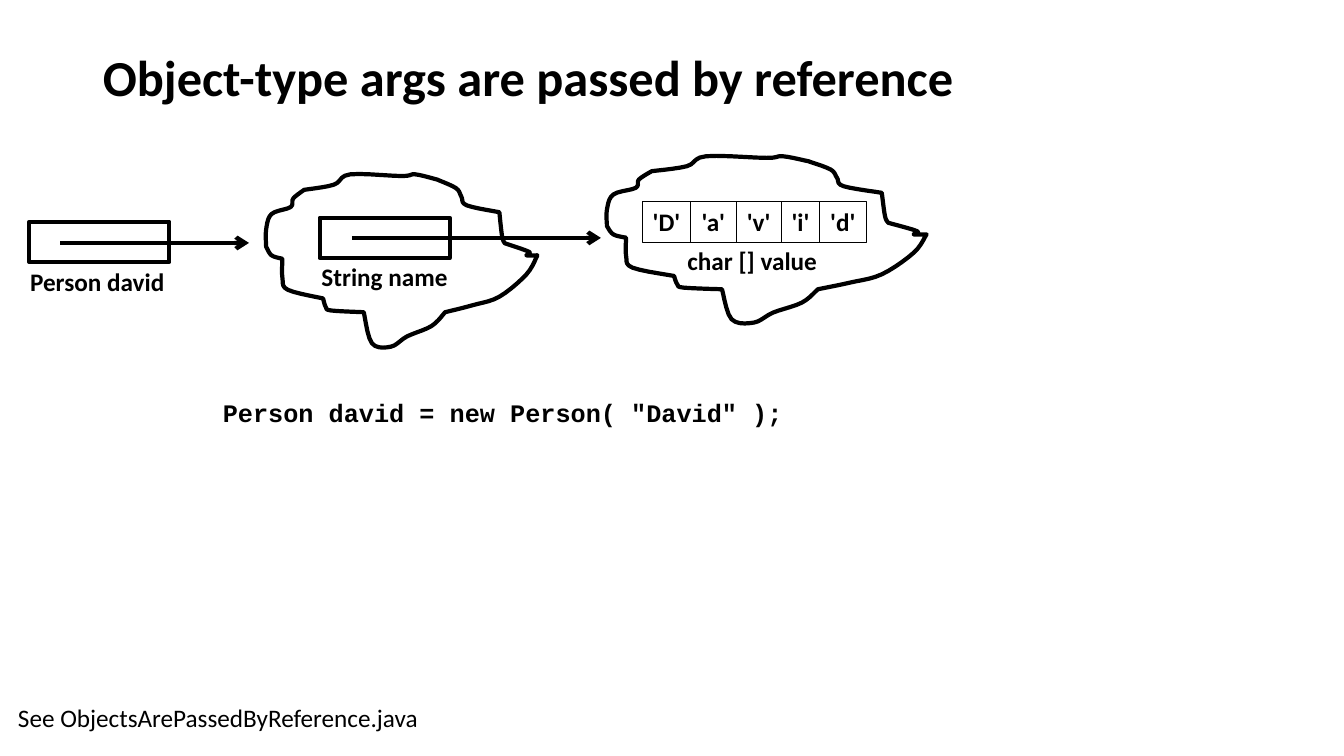
"""Build the slide on passing object-type arguments by reference."""
import itertools

import pptx
import pptx.dml.color
import pptx.enum.shapes
import pptx.enum.text
import pptx.oxml
import pptx.oxml.ns
import pptx.util
from pptx.util import Inches

COLORS = {"ink": "000000"}
LINE_WIDTHS = {"drawing": 3, "cell": 0.25}
TITLE = ("Object-type args are passed by reference", (0.92, 0.4, 11.5, 0.79))
CODE = ('Person david = new Person( "David" );', (2.11, 3.6, 11.22, 3.25))
LABELS = [
    ("Person david", (0.2, 2.59, 1.54, 0.4), "label"),
    ("String name", (3.09, 2.54, 1.46, 0.4), "label"),
    ("char [] value", (6.72, 2.38, 1.53, 0.4), "label"),
    ("See ObjectsArePassedByReference.java", (0.08, 6.92, 4.21, 0.4), "note"),
]
REFERENCES = [
    {"box": (0.29, 2.2, 1.39, 0.4), "arrow": (0.6, 2.47, 2.41)},
    {"box": (3.17, 2.16, 1.29, 0.4), "arrow": (3.49, 5.96, 2.36)},
]
CHARACTERS = {"'D'": 0.48, "'a'": 0.45, "'v'": 0.45, "'i'": 0.38, "'d'": 0.46}
ARRAY_LEFT, ARRAY_TOP, ARRAY_HEIGHT = 6.37, 2.0, 0.4
CLOUDS = {"person": (2.64, 1.73, 2.69, 1.71), "string": (6.02, 1.55, 3.17, 1.65)}
CLOUD_LOBES = {
    "crown": [(63, 3), (55, 0), (50, 1), (31, 0), (25, 6), (14, 9)],
    "upper left": [(14, 9), (10, 14), (9, 19), (2, 23), (0, 32), (0, 42)],
    "left": [(0, 42), (2, 47), (6, 49)],
    "lower left": [(6, 49), (6, 60), (8, 67), (21, 72)],
    "notch": [(21, 72), (22, 77), (24, 79), (36, 80)],
    "tail": [(36, 80), (39, 98), (46, 100), (52, 94), (61, 88), (66, 80)],
    "lower right": [(66, 80), (76, 76), (86, 71), (96, 58), (100, 47)],
    "tip": [(100, 47), (96, 47), (97, 45), (88, 40)],
    "right": [(88, 40), (87, 36), (86, 22)],
    "upper right": [(86, 22), (74, 18), (72, 13), (70, 8), (63, 3)],
}
CURVE_STEPS = 5
FORMATS = {
    "title": {"name": "Calibri", "size": pptx.util.Pt(36), "bold": True},
    "code": {"name": "Courier New", "size": pptx.util.Pt(18), "bold": True},
    "label": {"name": "Calibri", "size": pptx.util.Pt(18), "bold": True},
    "note": {"name": "Calibri", "size": pptx.util.Pt(18), "bold": False},
}


def set_attributes(target, values):
    for name, value in values.items():
        setattr(target, name, value)


def ink():
    return pptx.dml.color.RGBColor.from_string(COLORS["ink"])


def drawing_element(tag, attributes=""):
    namespace = pptx.oxml.ns.nsdecls("a")
    return pptx.oxml.parse_xml(f"<a:{tag} {namespace} {attributes}/>")


def place(shape, box):
    set_attributes(shape, dict(zip(("left", "top", "width", "height"), map(Inches, box))))


def write(shape, text, style, frame_format, paragraph_format):
    set_attributes(shape.text_frame, frame_format)
    paragraph = shape.text_frame.paragraphs[0]
    set_attributes(paragraph, paragraph_format)
    run = paragraph.add_run()
    run.text = text
    set_attributes(run.font, FORMATS[style])
    run.font.color.rgb = ink()
    return paragraph


def draw_line(line, kind):
    line.color.rgb = ink()
    line.width = pptx.util.Pt(LINE_WIDTHS[kind])


def outline(shape, kind):
    shape.shadow.inherit = False
    shape.fill.background()
    draw_line(shape.line, kind)


def add_box(slide, box, kind):
    rectangle = pptx.enum.shapes.MSO_SHAPE.RECTANGLE
    shape = slide.shapes.add_shape(rectangle, *map(Inches, box))
    outline(shape, kind)
    return shape


def add_arrow(slide, start, end, height):
    straight = pptx.enum.shapes.MSO_CONNECTOR.STRAIGHT
    arrow = slide.shapes.add_connector(straight, *map(Inches, (start, height, end, height)))
    draw_line(arrow.line, "drawing")
    line = arrow.line._get_or_add_ln()
    line.append(drawing_element("tailEnd", 'type="arrow"'))
    line.getparent().append(drawing_element("effectLst"))


def spline(before, start, end, after, t):
    """Return one coordinate of a Catmull-Rom curve between start and end."""
    return start + t / 2 * (
        end - before
        + t * (2 * before - 5 * start + 4 * end - after)
        + t * t * (3 * (start - end) + after - before))


def smooth(lobe):
    """Return points along a curve through the lobe, without its last point."""
    padded = [lobe[0], *lobe, lobe[-1]]
    spans = zip(padded, padded[1:], padded[2:], padded[3:])
    return [tuple(spline(*axis, step / CURVE_STEPS) for axis in zip(*span))
            for span, step in itertools.product(spans, range(CURVE_STEPS))]


def add_cloud(slide, box):
    left, top, width, height = box
    ring = itertools.chain.from_iterable(map(smooth, CLOUD_LOBES.values()))
    points = [(Inches(left + width * x / 100), Inches(top + height * y / 100))
              for x, y in ring]
    builder = slide.shapes.build_freeform(*points[0])
    builder.add_line_segments(points[1:], close=True)
    outline(builder.convert_to_shape(), "drawing")


def add_title_and_code(slide):
    title, body = slide.placeholders
    place(title, TITLE[1])
    write(title, TITLE[0], "title",
          {"vertical_anchor": pptx.enum.text.MSO_ANCHOR.MIDDLE},
          {"alignment": pptx.enum.text.PP_ALIGN.LEFT, "line_spacing": 0.9})

    place(body, CODE[1])
    paragraph = write(body, CODE[0], "code",
                      {"margin_top": Inches(0.34),
                       "auto_size": pptx.enum.text.MSO_AUTO_SIZE.NONE},
                      {"space_before": pptx.util.Pt(0)})
    properties = paragraph._p.get_or_add_pPr()
    for name in ("marL", "indent"):
        properties.set(name, "0")
    properties.append(drawing_element("buNone"))


def add_character_array(slide):
    left = ARRAY_LEFT
    for character, width in CHARACTERS.items():
        cell = add_box(slide, (left, ARRAY_TOP, width, ARRAY_HEIGHT), "cell")
        write(cell, character, "label",
              {"word_wrap": False, "vertical_anchor": pptx.enum.text.MSO_ANCHOR.MIDDLE},
              {"alignment": pptx.enum.text.PP_ALIGN.CENTER})
        left += width


def main():
    presentation = pptx.Presentation()
    set_attributes(presentation, {"slide_width": Inches(13.33), "slide_height": Inches(7.5)})
    slide = presentation.slides.add_slide(presentation.slide_layouts[1])
    add_title_and_code(slide)
    for cloud in CLOUDS.values():
        add_cloud(slide, cloud)
    for reference in REFERENCES:
        add_box(slide, reference["box"], "drawing")
        add_arrow(slide, *reference["arrow"])
    add_character_array(slide)
    for text, box, style in LABELS:
        label = slide.shapes.add_textbox(*map(Inches, box))
        write(label, text, style, {"word_wrap": False}, {})
    presentation.save("out.pptx")


if __name__ == "__main__":
    main()
